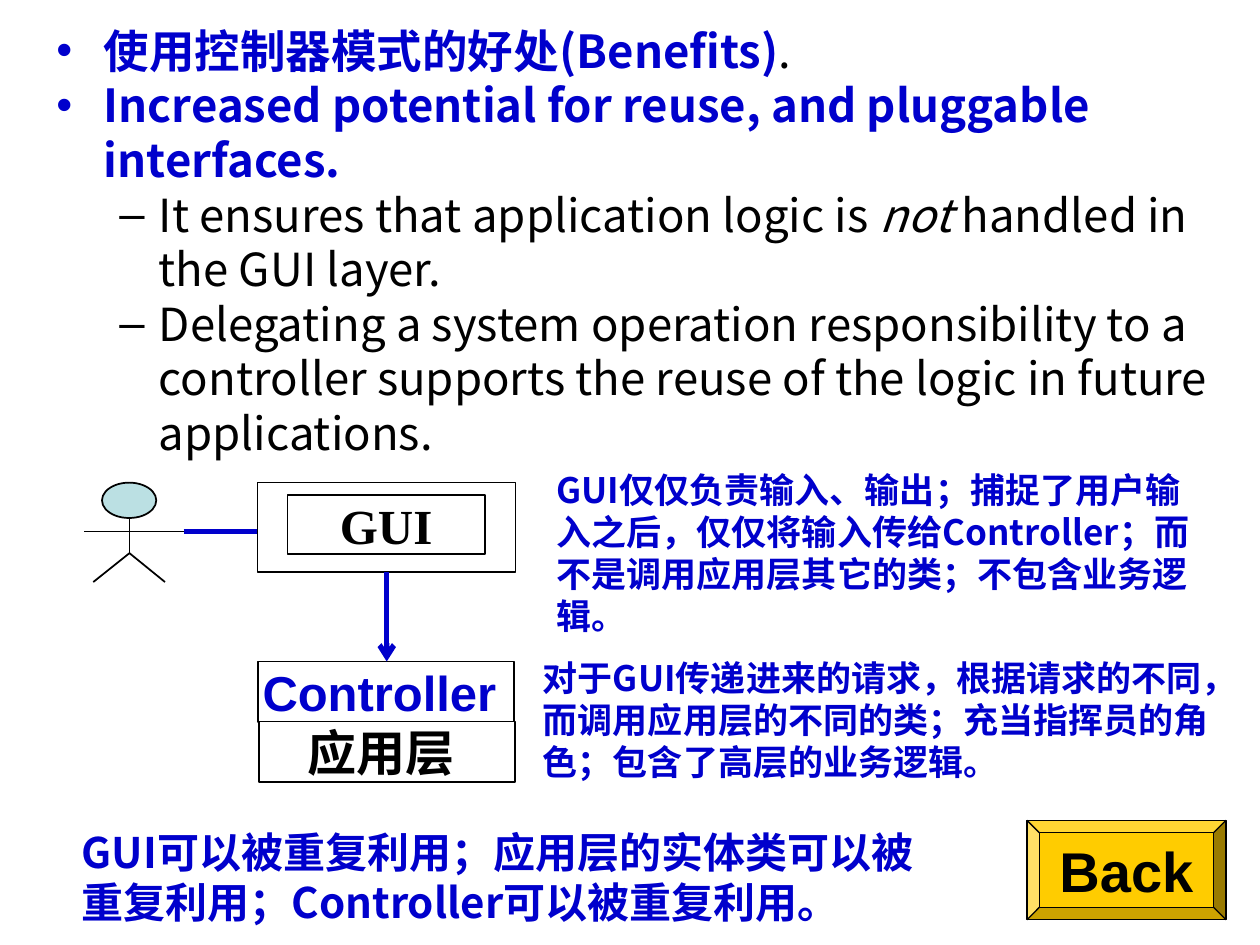
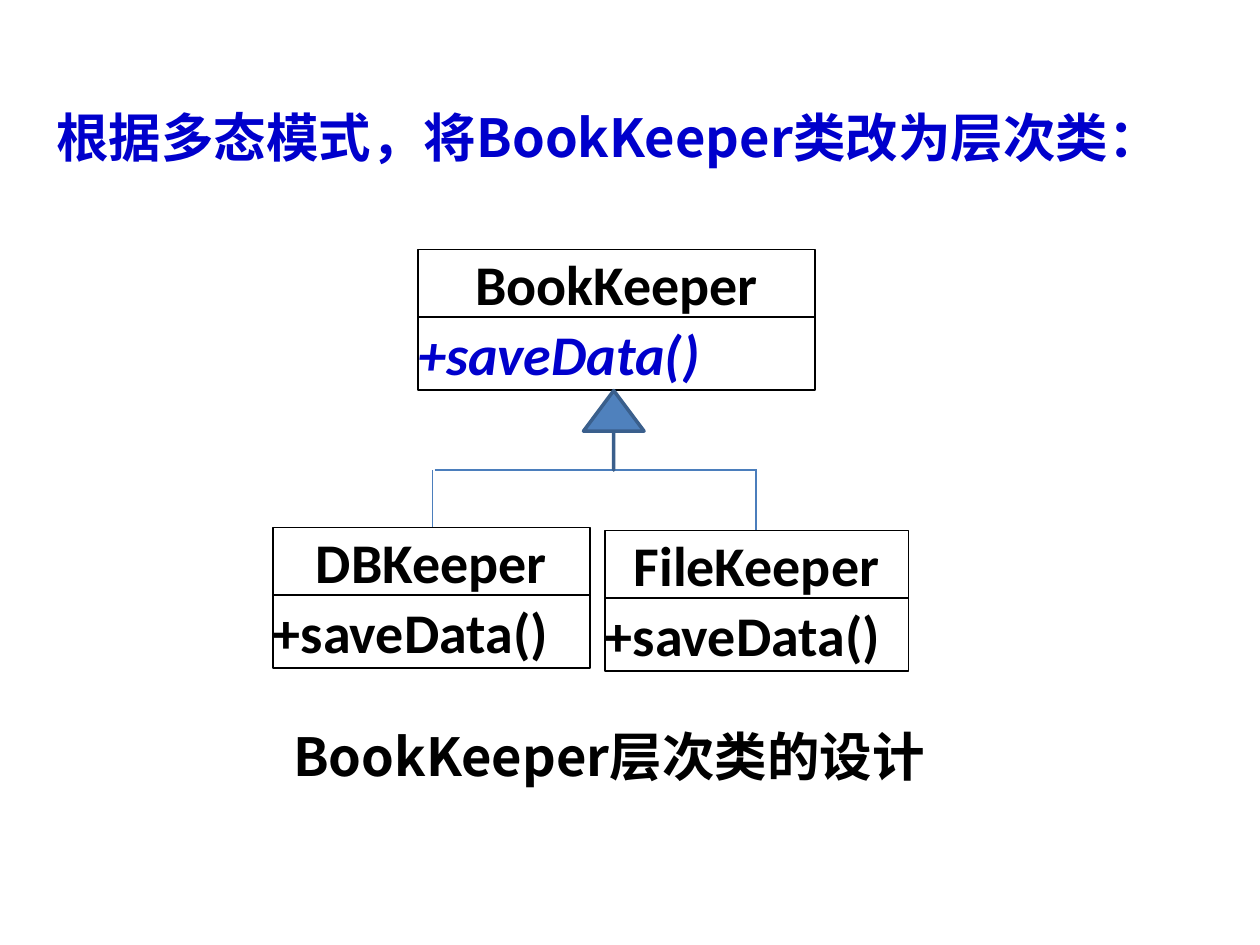
import pptx
import pptx.util
import pptx.dml.color
import pptx.enum.shapes
import pptx.enum.text
import pptx.oxml
import pptx.oxml.ns

Pt = pptx.util.Pt
SHAPE = pptx.enum.shapes.MSO_SHAPE
ANCHOR = pptx.enum.text.MSO_ANCHOR
ALIGN = pptx.enum.text.PP_ALIGN
qn = pptx.oxml.ns.qn

COLORS = {
    "blue": "0000CC",
    "black": "000000",
    "white": "FFFFFF",
    "gold": "FFCC00",
    "head": "BBE0E3",
    "arrow": "4F81BD",
    "arrow_edge": "3A5F8C",
    "branch": "4B7EBC",
}
CJK = "Noto Sans CJK SC"
LINE_HEIGHT = 1.2
NAME_HEIGHT, METHOD_HEIGHT = 38.5, 41.8


def color(name):
    return pptx.dml.color.RGBColor.from_string(COLORS[name])


class Deck:
    def __init__(self):
        self.presentation = pptx.Presentation()
        self.presentation.slide_width = Pt(720)
        self.presentation.slide_height = Pt(540)
        self.slide = None

    def new_slide(self):
        self.slide = self.presentation.slides.add_slide(self.presentation.slide_layouts[6])
        self.slide.background.fill.solid()
        self.slide.background.fill.fore_color.rgb = color("white")

    def run(self, paragraph, words, size, font=CJK, ink="black", bold=True, italic=False):
        run = paragraph.add_run()
        run.text = words
        run.font.size = Pt(size)
        run.font.name = font
        run.font.bold = bold
        run.font.italic = italic
        run.font.color.rgb = color(ink)
        east_asian = run.font._element.makeelement(qn("a:ea"), {"typeface": font})
        run.font._element.find(qn("a:latin")).addnext(east_asian)
        if font == CJK:
            paragraph.line_spacing = Pt(size * LINE_HEIGHT)

    def bullet(self, paragraph, mark, left, hanging):
        properties = paragraph._p.get_or_add_pPr()
        properties.set("marL", str(Pt(left)))
        properties.set("indent", str(-Pt(hanging)))
        pptx.oxml.ns.nsdecls("a")
        properties.append(pptx.oxml.parse_xml(
            f'<a:buFont {pptx.oxml.ns.nsdecls("a")} typeface="Arial"/>'))
        properties.append(pptx.oxml.parse_xml(
            f'<a:buChar {pptx.oxml.ns.nsdecls("a")} char="{mark}"/>'))

    def frame(self, x, y, width, height, wrap=True):
        frame = self.slide.shapes.add_textbox(Pt(x), Pt(y), Pt(width), Pt(height)).text_frame
        frame.word_wrap = wrap
        return frame

    def text(self, x, y, width, height, words, size, ink="blue"):
        self.run(self.frame(x, y, width, height).paragraphs[0], words, size, ink=ink)

    def caption(self, x, y, width, height, words, size):
        frame = self.frame(x, y, width, height, wrap=False)
        frame.vertical_anchor = ANCHOR.MIDDLE
        frame.paragraphs[0].alignment = ALIGN.CENTER
        self.run(frame.paragraphs[0], words, size)

    def outline(self, points, fill):
        pass

    def shape(self, kind, x, y, width, height, fill="white", edge="black", weight=1):
        shape = self.slide.shapes.add_shape(kind, Pt(x), Pt(y), Pt(width), Pt(height))
        shape.shadow.inherit = False
        if fill:
            shape.fill.solid()
            shape.fill.fore_color.rgb = color(fill)
        else:
            shape.fill.background()
        shape.line.color.rgb = color(edge)
        shape.line.width = Pt(weight)
        return shape

    def label(self, shape, words, size, font, ink="black", italic=False,
              align=ALIGN.CENTER, wrap=True):
        frame = shape.text_frame
        frame.margin_left = frame.margin_right = frame.margin_top = frame.margin_bottom = 0
        frame.word_wrap = wrap
        frame.vertical_anchor = ANCHOR.MIDDLE
        frame.paragraphs[0].alignment = align
        self.run(frame.paragraphs[0], words, size, font, ink, italic=italic)

    def line(self, x1, y1, x2, y2, ink="black", weight=1.0, arrow=False):
        line = self.slide.shapes.add_connector(
            pptx.enum.shapes.MSO_CONNECTOR.STRAIGHT, Pt(x1), Pt(y1), Pt(x2), Pt(y2))
        line.line.color.rgb = color(ink)
        line.line.width = Pt(weight)
        properties = line._element.spPr
        if arrow:
            stroke = line.line._get_or_add_ln()
            stroke.append(stroke.makeelement(qn("a:tailEnd"), {"type": "arrow"}))
        properties.append(properties.makeelement(qn("a:effectLst"), {}))

    def uml_class(self, x, y, width, name, ink="black", italic=False):
        header = self.shape(SHAPE.RECTANGLE, x, y, width, NAME_HEIGHT)
        self.label(header, name, 32, "Calibri")
        method = self.shape(SHAPE.RECTANGLE, x, y + NAME_HEIGHT, width, METHOD_HEIGHT)
        self.label(method, "+saveData()", 32, "Calibri", ink, italic, ALIGN.LEFT)


def benefits_slide(deck):
    deck.new_slide()
    heading = {"ink": "blue"}
    plain = {"bold": False}
    main, detail = ("•", 27, 27), ("–", 58.5, 22.5)
    benefits = [
        (main, [("使用控制器模式的好处(Benefits)", heading), (".", plain)]),
        (main, [("Increased potential for reuse, and pluggable interfaces.", heading)]),
        (detail, [("It ensures that application logic is ", plain),
                  ("not ", {"bold": False, "italic": True}),
                  ("handled in the GUI layer.", plain)]),
        (detail, [("Delegating a system operation responsibility to a controller "
                   "supports the reuse of the logic in future applications.", plain)]),
    ]
    frame = deck.frame(25.2, 9.4, 674.6, 260.6)
    for index, (level, runs) in enumerate(benefits):
        paragraph = frame.add_paragraph() if index else frame.paragraphs[0]
        deck.bullet(paragraph, *level)
        for words, style in runs:
            deck.run(paragraph, words, 26, **style)

    back = deck.shape(SHAPE.BEVEL, 586.8, 468.7, 113.8, 56.9, "gold", weight=0.75)
    deck.label(back, "Back", 32, "Arial", wrap=False)

    deck.text(311, 264.2, 388.8, 104.4,
              "GUI仅仅负责输入、输出；捕捉了用户输入之后，仅仅将输入传给Controller；"
              "而不是调用应用层其它的类；不包含业务逻辑。", 20)
    deck.text(303.1, 371.5, 396.7, 80,
              "对于GUI传递进来的请求，根据请求的不同，而调用应用层的不同的类；"
              "充当指挥员的角色；包含了高层的业务逻辑。", 20)

    body_x, arms_y, hip_y, foot_y = 74, 303.8, 316.1, 332.6
    hand_x, window_x = 105, 147
    deck.shape(SHAPE.OVAL, 58.3, 275.8, 31, 20.2, "head")
    deck.line(48.2, arms_y, hand_x, arms_y)
    deck.line(body_x, 296, body_x, hip_y)
    for foot_x in (53.3, 94.3):
        deck.line(body_x, hip_y, foot_x, foot_y)

    layers = [
        (147.6, 378, 146.2, 34.5, "Controller ", "Arial", "blue"),
        (164.2, 283, 112.9, 33.8, "GUI", "Times New Roman", "black"),
        (148, 412.2, 146.2, 34.5, "应用层 ", CJK, "black"),
    ]
    for x, y, width, height, words, font, ink in layers:
        deck.label(deck.shape(SHAPE.RECTANGLE, x, y, width, height), words, 28, font, ink)
    deck.shape(SHAPE.RECTANGLE, window_x, 275.8, 147.6, 51.1, None, weight=0.75)
    deck.line(221, 326.9, 221, 378, "blue", 3, arrow=True)
    deck.line(hand_x, arms_y, window_x, arms_y, "blue", 2.75)

    deck.text(39.6, 468.7, 496.1, 65.5,
              "GUI可以被重复利用；应用层的实体类可以被重复利用；"
              "Controller可以被重复利用。", 24)


def hierarchy_slide(deck):
    deck.new_slide()
    deck.caption(156.2, 409.7, 390.2, 43.9, "BookKeeper层次类的设计 ", 30)
    deck.uml_class(239, 142.6, 226.8, "BookKeeper", "blue", italic=True)

    branch_y = 268.6
    deck.line(248.4, branch_y, 432.7, branch_y, "branch", 0.75)
    for branch_x in (247, 432):
        deck.line(branch_x, branch_y, branch_x, 308.2, "branch", 0.75)

    deck.uml_class(155.9, 301.5, 181.4, "DBKeeper")
    deck.uml_class(345.6, 303.1, 173.5, "FileKeeper")

    inheritance = deck.shape(SHAPE.UP_ARROW, 333.4, 223.2, 34.6, 45.4,
                             "arrow", "arrow_edge", 2)
    inheritance.adjustments[0] = 0
    inheritance.adjustments[1] = 0.67
    deck.text(25.2, 56.2, 635, 43.9, "根据多态模式，将BookKeeper类改为层次类：", 30)


def main():
    deck = Deck()
    benefits_slide(deck)
    hierarchy_slide(deck)
    deck.presentation.save("out.pptx")


if __name__ == "__main__":
    main()
